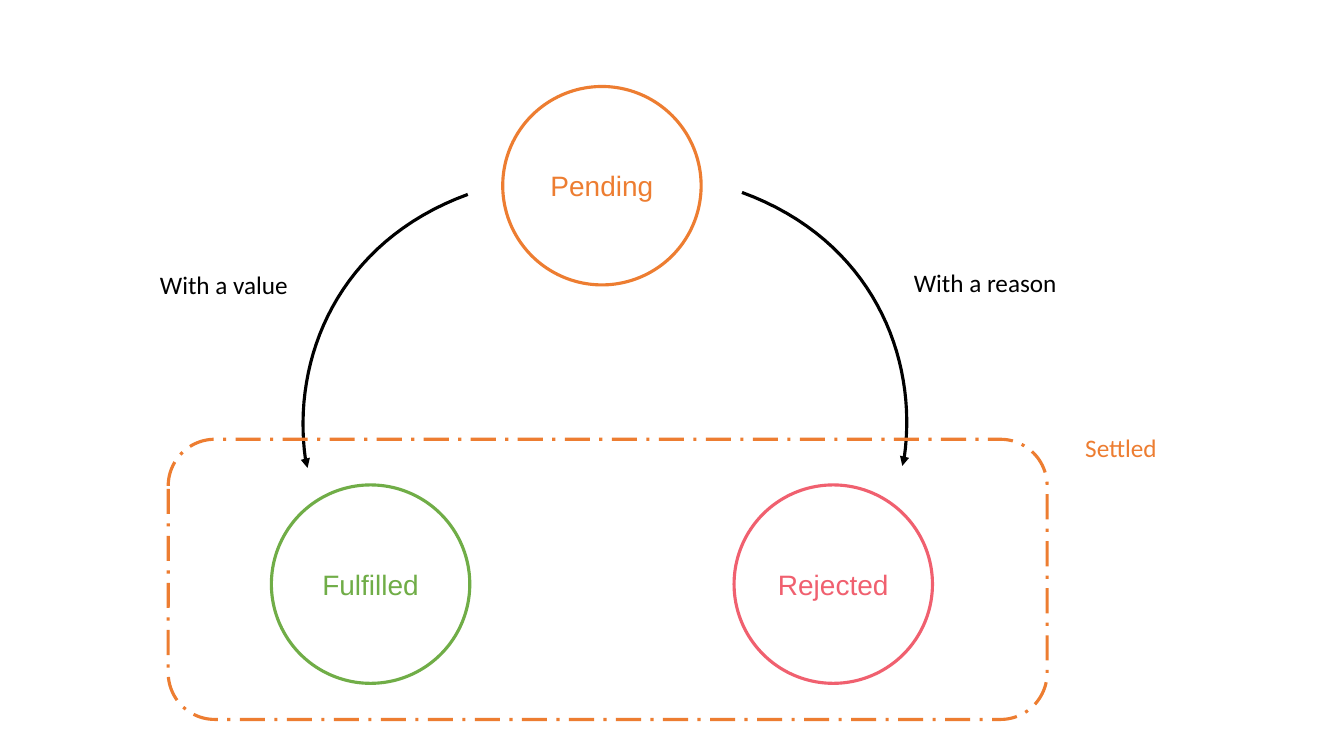
"""Build a slide of the three promise states and the paths between them."""
from typing import NamedTuple

from lxml import etree
from pptx import Presentation
from pptx.dml.color import RGBColor
from pptx.enum.dml import MSO_LINE
from pptx.enum.shapes import MSO_CONNECTOR, MSO_SHAPE
from pptx.enum.text import MSO_ANCHOR, MSO_AUTO_SIZE, PP_ALIGN
from pptx.oxml.ns import qn
from pptx.util import Cm, Pt

OVAL = MSO_SHAPE.OVAL
ROUND = MSO_SHAPE.ROUNDED_RECTANGLE
STRAIGHT = MSO_CONNECTOR.STRAIGHT
DASH = MSO_LINE.LONG_DASH_DOT
MIDDLE = MSO_ANCHOR.MIDDLE
CENTER = PP_ALIGN.CENTER
GROW = MSO_AUTO_SIZE.SHAPE_TO_FIT_TEXT

COLORS = {"orange": "ED7D31", "green": "70AD47", "red": "F0606F", "black": "000000"}
STROKE = Pt(2.25)
SIZE = 5
STEPS = 32
MID = 12.67
SPREAD = 5.83
LOW = 12.22
CURVE = ((11.79, 4.9), (8.51, 6.1), (7.34, 9.04), (7.7, 11.58))
TIP = (7.75, 11.79)
MIRROR = 30.49
RAISE = 0.05


class State(NamedTuple):
    """A circle for one state."""
    text: str
    left: float
    top: float
    color: str


class Label(NamedTuple):
    """A line of free text."""
    text: str
    left: float
    top: float
    width: float
    color: str


STATES = (
    State("Pending", MID, 2.18, "orange"),
    State("Fulfilled", MID - SPREAD, LOW, "green"),
    State("Rejected", MID + SPREAD, LOW, "red"),
)
LABELS = (
    Label("With a value", 3.78, 6.65, 3.96, "black"),
    Label("With a reason", 22.78, 6.6, 5.49, "black"),
    Label("Settled", 27.1, 10.77, 2.59, "orange"),
)


def tint(color: str) -> RGBColor:
    """Look up a named color."""
    return RGBColor.from_string(COLORS[color])


def outline(shape, color: str) -> None:
    """Leave a shape unfilled, with a plain colored line."""
    shape.shadow.inherit = False
    shape.fill.background()
    shape.line.color.rgb = tint(color)
    shape.line.width = STROKE


def write(frame, text: str, font: str, size: int, color: str) -> None:
    """Set the text of a frame and format its run."""
    frame.text = text
    face = frame.paragraphs[0].runs[0].font
    face.name, face.size = font, Pt(size)
    face.color.rgb = tint(color)


def draw_state(shapes, state: State) -> None:
    """Draw a circle with its name in the middle."""
    disc = shapes.add_shape(OVAL, Cm(state.left), Cm(state.top), Cm(SIZE), Cm(SIZE))
    outline(disc, state.color)
    frame = disc.text_frame
    write(frame, state.text, "Arial", 20, state.color)
    frame.vertical_anchor = MIDDLE
    frame.paragraphs[0].alignment = CENTER


def draw_label(shapes, label: Label) -> None:
    """Draw a text box."""
    box = shapes.add_textbox(Cm(label.left), Cm(label.top), Cm(label.width), Cm(1.02))
    frame = box.text_frame
    frame.word_wrap = True
    frame.auto_size = GROW
    write(frame, label.text, "Calibri", 18, label.color)


def bend(part: float) -> tuple[float, float]:
    """Find the point at a given part of the cubic curve."""
    rest = 1 - part
    weights = (rest ** 3, 3 * rest ** 2 * part, 3 * rest * part ** 2, part ** 3)
    return tuple(sum(w * spot[axis] for w, spot in zip(weights, CURVE)) for axis in (0, 1))


def draw_arrow(shapes, flip: bool) -> None:
    """Draw a curved arrow, flipped for the right side."""
    spots = [bend(step / STEPS) for step in range(STEPS + 1)] + [TIP]
    if flip:
        spots = [(MIRROR - x, y - RAISE) for x, y in spots]
    *track, tip = [(Cm(x), Cm(y)) for x, y in spots]
    pen = shapes.build_freeform(*track[0])
    pen.add_line_segments(track[1:], close=False)
    outline(pen.convert_to_shape(), "black")

    head = shapes.add_connector(STRAIGHT, *track[-1], *tip)
    head.line.color.rgb = tint("black")
    head.line.width = STROKE
    etree.SubElement(head.line._get_or_add_ln(), qn("a:tailEnd"), type="triangle")
    etree.SubElement(head._element.spPr, qn("a:effectLst"))


def main() -> None:
    """Build and save the slide."""
    deck = Presentation()
    deck.slide_width, deck.slide_height = Cm(33.87), Cm(19.05)
    shapes = deck.slides.add_slide(deck.slide_layouts[6]).shapes
    for state in STATES:
        draw_state(shapes, state)
    for flip in (False, True):
        draw_arrow(shapes, flip)
    frame = shapes.add_shape(ROUND, Cm(4.24), Cm(11.07), Cm(22.15), Cm(7.06))
    outline(frame, "orange")
    frame.line.dash_style = DASH
    for label in LABELS:
        draw_label(shapes, label)
    deck.save("out.pptx")


main()
